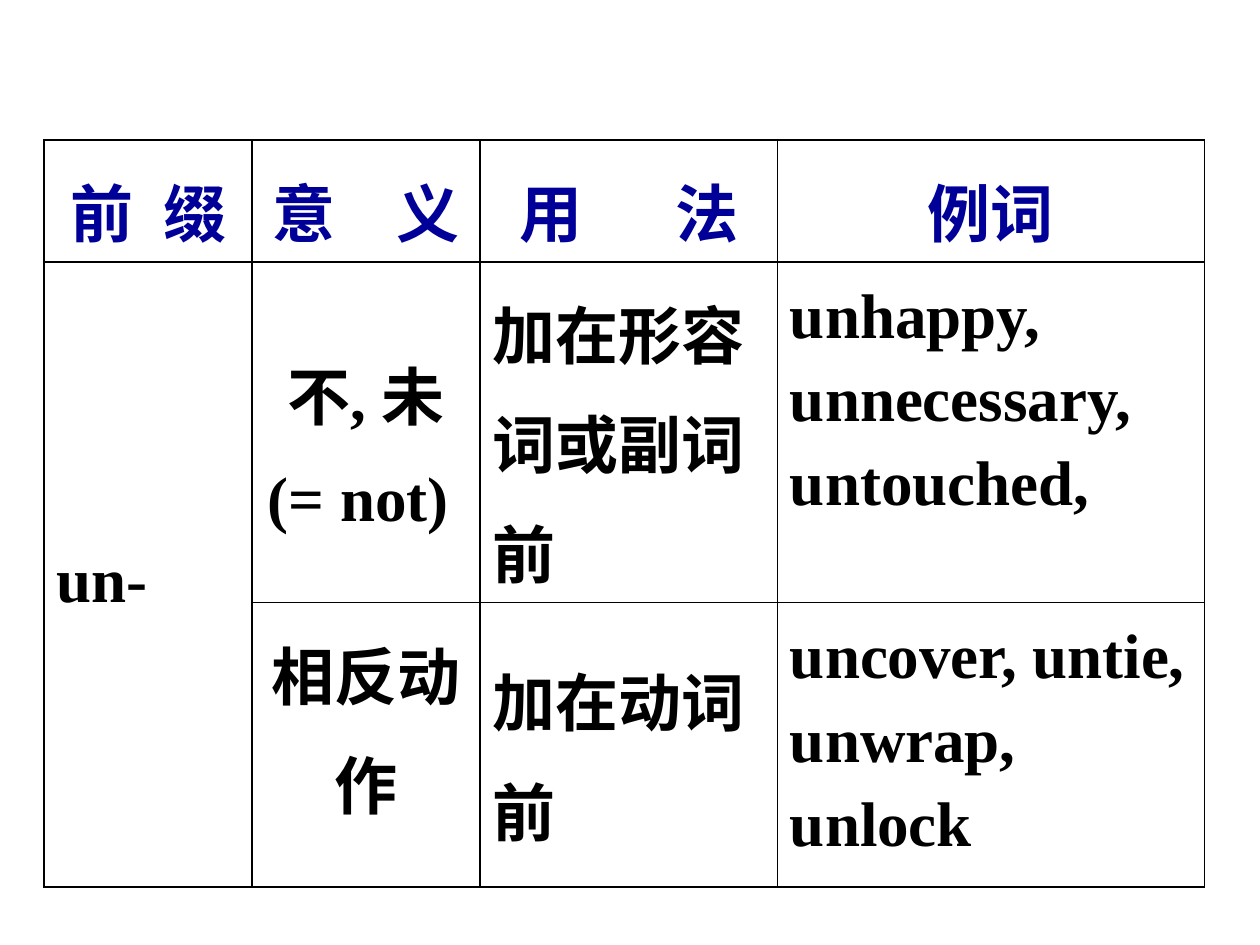
from lxml.etree import SubElement
from pptx import Presentation
from pptx.dml.color import RGBColor
from pptx.enum.text import MSO_ANCHOR as Anchor, PP_ALIGN as Align
from pptx.oxml.ns import qn
from pptx.util import Inches, Pt

COLORS = {"heading": "000099", "body": "000000", "border": "000000"}


def write_cell(cell, text, color="body", align=Align.LEFT, anchor=Anchor.MIDDLE, gap=0):
    cell.vertical_anchor = anchor
    for index, line in enumerate(text.split("\n")):
        frame = cell.text_frame
        paragraph = frame.add_paragraph() if index else frame.paragraphs[0]
        paragraph.alignment = align
        paragraph.line_spacing = 1.2
        if index:
            paragraph.space_before = Pt(7.2)
        pieces = [line[:2], line[2:]] if gap else [line]
        for piece in pieces:
            run = paragraph.add_run()
            run.text = piece
            run.font.name = "Times New Roman"
            run.font.size = Pt(36)
            run.font.bold = True
            run.font.color.rgb = RGBColor.from_string(COLORS[color])
        if gap:
            paragraph.runs[0].font._element.set("spc", str(round(gap * 100)))


def style_cell(cell):
    cell.margin_left = cell.margin_right = Inches(0.1)
    cell.margin_top = cell.margin_bottom = Inches(0.05)
    properties = cell._tc.get_or_add_tcPr()
    for side in ("a:lnL", "a:lnR", "a:lnT", "a:lnB"):
        line = SubElement(properties, qn(side), w=str(Pt(1)))
        fill = SubElement(line, qn("a:solidFill"))
        SubElement(fill, qn("a:srgbClr"), val=COLORS["border"])
    cell.fill.background()


presentation = Presentation()
presentation.slide_width = Inches(10)
presentation.slide_height = Inches(7.5)
slide = presentation.slides.add_slide(presentation.slide_layouts[6])

column_widths = [1.65, 1.81, 2.36, 3.39]
row_heights = [0.82, 2.26, 2.26]
shape = slide.shapes.add_table(
    len(row_heights), len(column_widths), Inches(0.35), Inches(1.11),
    Inches(sum(column_widths)), Inches(sum(row_heights)),
)
table = shape.table
table.first_row = False
table.horz_banding = False
for column, width in zip(table.columns, column_widths):
    column.width = Inches(width)
for row, height in zip(table.rows, row_heights):
    row.height = Inches(height)
for cell in table.iter_cells():
    style_cell(cell)
table.cell(1, 0).merge(table.cell(2, 0))

headings = [("前 缀", 4.5), ("意 义", 13.5), ("用 法", 22.5), ("例词", 0)]
for column, (heading, gap) in enumerate(headings):
    anchor = Anchor.MIDDLE if gap else Anchor.TOP
    write_cell(table.cell(0, column), heading, color="heading",
               align=Align.CENTER, anchor=anchor, gap=gap)

write_cell(table.cell(1, 0), "un-")
usages = [
    ("不, 未\n(= not) ", Anchor.MIDDLE, "加在形容词或副词前", "unhappy, unnecessary, untouched,"),
    ("相反动作", Anchor.TOP, "加在动词前", "uncover, untie, unwrap, unlock"),
]
for row, (meaning, anchor, usage, examples) in enumerate(usages, start=1):
    write_cell(table.cell(row, 1), meaning, align=Align.CENTER, anchor=anchor)
    write_cell(table.cell(row, 2), usage)
    write_cell(table.cell(row, 3), examples, anchor=Anchor.TOP)

presentation.save("out.pptx")
